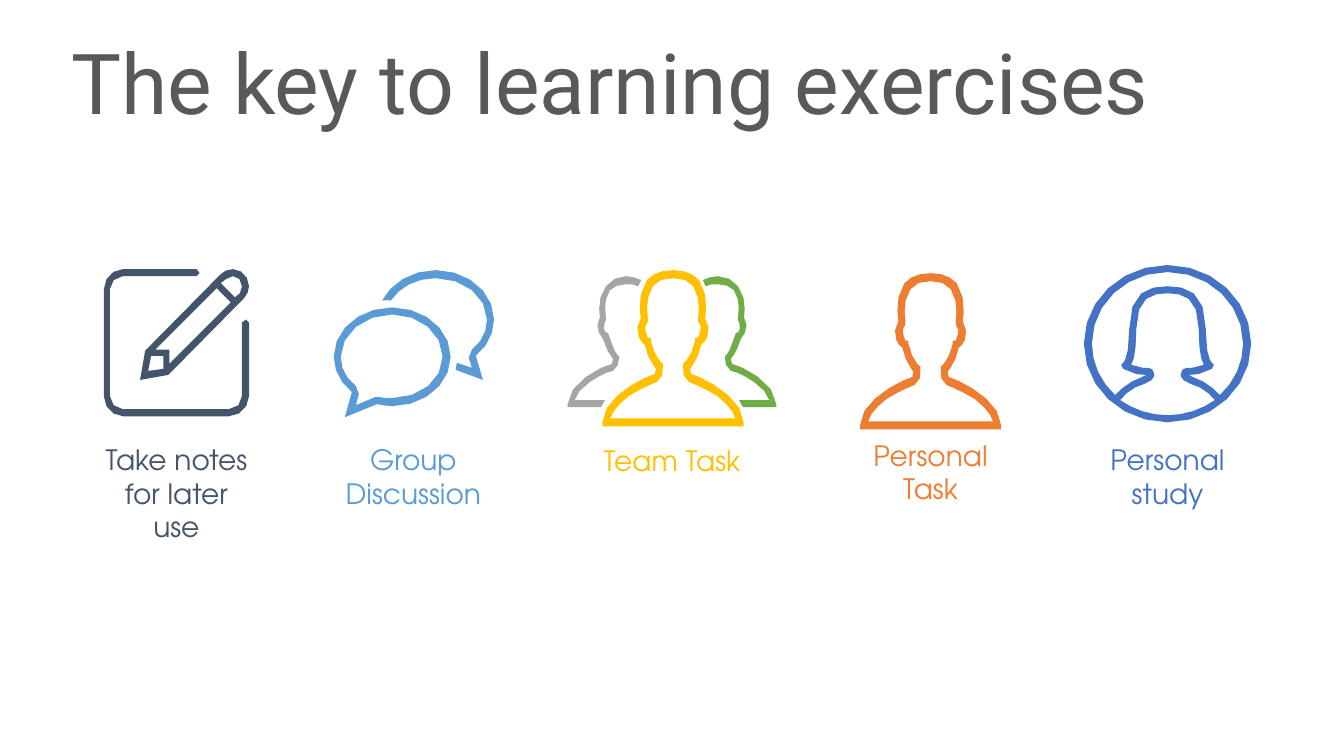
from dataclasses import dataclass
from enum import Enum
from math import dist, sqrt

from pptx import Presentation
from pptx.dml.color import RGBColor
from pptx.enum.text import MSO_ANCHOR, MSO_AUTO_SIZE, PP_ALIGN
from pptx.shapes.autoshape import Shape
from pptx.util import Inches, Pt

# Grid: square cells, 1333 columns by 750 rows
COLUMNS, ROWS = 1333, 750
CELL = Inches(13.33) // COLUMNS
LABEL_FONT = "TeX Gyre Adventor"
TITLE_FONT = "Roboto"

COLOURS = {
    "title": "595959",
    "notes": "44546A",
    "discussion": "5B9BD5",
    "team": "FFC000",
    "left teammate": "A5A5A5",
    "right teammate": "70AD47",
    "task": "ED7D31",
    "study": "4472C4",
}

Point = tuple[float, float]


class Symmetry(Enum):
    PLAIN = "drawn as given"
    FLIPPED = "reflected left to right"
    HALVED = "left half given, right half reflected"


@dataclass(frozen=True)
class Outline:
    colour: str
    contours: tuple[str, ...]
    column: float = 0
    row: float = 0
    symmetry: Symmetry = Symmetry.PLAIN


@dataclass(frozen=True)
class Exercise:
    label: str
    colour: str
    centre: float
    outlines: tuple[Outline, ...]
    row: float = 434
    width: float = 166
    height: float = 77


# Contours in grid cells: M starts, L adds a line, C adds a Bezier curve
NOTEPAD = (
    "M 244,317 C 242,317 240,318 240,320 L 240,393 C 240,400 235,406 227,406 L 122,406 "
    "C 115,406 109,400 109,393 L 109,287 C 109,280 115,274 122,274 L 195,274 "
    "C 196,274 198,272 198,271 C 198,269 196,267 195,267 L 122,267 C 112,267 103,276 103,287 "
    "L 103,393 C 103,404 112,413 122,413 L 227,413 C 238,413 247,404 247,393 L 247,320 "
    "C 247,318 246,317 244,317",
    "M 150,353 L 162,353 L 162,366 L 147,368",
    "M 215,286 L 229,300 L 168,361 L 168,347 L 154,347",
    "M 224,277 C 225,275 228,274 231,274 C 236,274 240,278 240,284 C 240,287 239,289 238,291 "
    "L 233,295 L 219,281",
    "M 139,377 L 167,372 L 242,296 C 245,293 247,288 247,284 C 247,275 240,267 231,267 "
    "C 226,267 222,269 219,272 L 144,348",
)
SPEECH_BUBBLES = (
    "M 389,395 C 385,395 380,395 376,394 L 372,394 "
    "L 353,402 L 356,391 C 356,388 355,385 353,383 C 343,376 338,365 338,354 "
    "C 338,331 361,312 389,312 C 417,312 439,331 439,354 C 439,377 417,395 389,395",
    "M 389,305 C 357,305 331,327 331,354 C 331,368 338,380 349,389 L 342,414 L 374,401 "
    "C 379,402 384,403 389,403 C 421,403 447,381 447,354 C 447,327 421,305 389,305",
    "M 490,317 C 490,290 464,268 432,268 C 408,268 388,281 379,298 L 388,298 "
    "C 396,285 413,276 432,276 C 460,276 483,294 483,317 C 483,329 478,339 468,347 "
    "C 466,349 465,352 465,355 L 468,365 L 453,360 L 452,367 L 479,377 "
    "L 472,353 C 483,344 490,331 490,317",
)
PERSON = (
    "M 0,155 L -70,155 L -70,151 C -70,126 -29,106 -18,103 C -17,102 -17,100 -17,98 "
    "C -19,95 -26,86 -28,74 C -31,73 -32,70 -34,66 C -36,61 -36,53 -32,48 "
    "C -33,41 -35,23 -26,10 C -20,3 -11,0 0,0",
    "M 0,147 L -62,147 C -60,140 -54,133 -44,125 C -33,118 -21,113 -16,111 "
    "C -10,110 -10,100 -10,96 L -10,93 C -11,93 -20,83 -22,70 L -22,67 L -25,67 "
    "C -26,67 -27,65 -27,61 C -28,58 -28,54 -26,53 L -25,51 L -25,47 "
    "C -26,41 -27,26 -20,16 C -16,10 -9,8 0,8",
)
TEAMMATE = (
    "M -67,123 L -97,123 C -96,117 -90,111 -82,105 C -73,99 -63,94 -59,94 "
    "C -54,93 -53,84 -53,81 L -53,79 L -54,79 C -54,79 -61,70 -63,59 L -64,56 L -66,56 "
    "L -68,52 C -69,49 -68,46 -67,45 L -66,44 L -66,40 "
    "C -67,35 -68,22 -62,14 C -58,10 -53,8 -46,8 C -41,8 -37,8 -34,10 "
    "L -31,4 C -35,2 -40,0 -46,0 C -54,0 -62,4 -66,10 "
    "C -74,20 -73,35 -72,41 C -75,45 -75,51 -73,56 C -73,59 -71,61 -69,62 "
    "C -67,72 -61,79 -59,82 L -60,87 C -70,89 -104,106 -104,127 "
    "L -104,130 L -71,130 L -67,123",
)
WOMAN_IN_CIRCLE = (
    "M 0,21 C -19,21 -38,26 -38,64 C -38,91 -43,96 -44,97 C -45,97 -46,98 -46,99 "
    "C -47,101 -46,102 -44,103 C -34,109 -26,109 -21,109 L -25,111 "
    "C -35,114 -46,122 -52,129 C -66,116 -75,98 -75,78 C -75,39 -42,7 0,7",
    "M 0,149 C -18,149 -34,143 -47,134 C -42,127 -32,120 -23,118 C -17,116 -14,113 -13,110 "
    "C -12,106 -16,103 -16,103 L -20,102 C -20,102 -26,103 -36,99 "
    "C -33,94 -31,84 -31,64 C -31,31 -15,28 0,28",
    "M 0,0 C -46,0 -83,35 -83,78 C -83,121 -46,156 0,156",
)

EXERCISES = (
    Exercise("Take notes for later use", "notes", 175, (Outline("notes", NOTEPAD),), height=111),
    Exercise("Group Discussion", "discussion", 410, (Outline("discussion", SPEECH_BUBBLES),)),
    Exercise("Team Task", "team", 666.5, (
        Outline("team", PERSON, 667.5, 268, Symmetry.HALVED),
        Outline("right teammate", TEAMMATE, 666, 274, Symmetry.FLIPPED),
        Outline("left teammate", TEAMMATE, 667, 274),
    ), row=435, width=207, height=44),
    Exercise("Personal Task", "task", 923,
             (Outline("task", PERSON, 923, 271, Symmetry.HALVED),), row=430),
    Exercise("Personal study", "study", 1158,
             (Outline("study", WOMAN_IN_CIRCLE, 1158, 263, Symmetry.HALVED),)),
)


def colour_of(name: str) -> RGBColor:
    return RGBColor.from_string(COLOURS[name])


def split_curve(corners: list[Point]) -> list[Point]:
    """Follow a Bezier curve with lines, more of them the longer it is."""
    length = sum(dist(a, b) for a, b in zip(corners, corners[1:]))
    steps = max(1, round(sqrt(length) / 2))
    points: list[Point] = []
    for step in range(1, steps + 1):
        t = step / steps
        weights = ((1 - t) ** 3, 3 * t * (1 - t) ** 2, 3 * t * t * (1 - t), t ** 3)
        points.append((sum(w * c[0] for w, c in zip(weights, corners)),
                       sum(w * c[1] for w, c in zip(weights, corners))))
    return points


def trace(contour: str) -> list[Point]:
    points: list[Point] = []
    controls: list[Point] = []
    command = "M"
    for token in contour.split():
        if token in "MLC":
            command = token
            continue
        x, y = token.split(",")
        controls.append((float(x), float(y)))
        if command != "C":
            points.append(controls.pop())
        elif len(controls) == 3:
            points += split_curve([points[-1], *controls])
            controls = []
    return points


def place(outline: Outline, contour: str) -> list[Point]:
    points = trace(contour)
    reflected = [(-x, y) for x, y in points]
    if outline.symmetry is Symmetry.FLIPPED:
        points = reflected
    elif outline.symmetry is Symmetry.HALVED:
        points += reflected[::-1]
    return [((outline.column + x) * CELL, (outline.row + y) * CELL) for x, y in points]


def draw_outline(shapes, outline: Outline) -> None:
    first, *others = [place(outline, contour) for contour in outline.contours]
    builder = shapes.build_freeform(*first[0], scale=1.0)
    builder.add_line_segments(first[1:], close=True)
    for points in others:
        builder.move_to(*points[0])
        builder.add_line_segments(points[1:], close=True)
    shape = builder.convert_to_shape()
    shape.shadow.inherit = False
    shape.fill.solid()
    shape.fill.fore_color.rgb = colour_of(outline.colour)
    shape.line.fill.background()


def add_text(shapes, text: str, column: float, row: float, width: float, height: float,
             font_name: str, size: int, colour: str) -> Shape:
    box = shapes.add_textbox(*(round(cells * CELL) for cells in (column, row, width, height)))
    box.text_frame.word_wrap = True
    paragraph = box.text_frame.paragraphs[0]
    paragraph.text = text
    paragraph.font.name = font_name
    paragraph.font.size = Pt(size)
    paragraph.font.color.rgb = colour_of(colour)
    return box


def main() -> None:
    presentation = Presentation()
    presentation.slide_width, presentation.slide_height = COLUMNS * CELL, ROWS * CELL
    slide = presentation.slides.add_slide(presentation.slide_layouts[6])

    # Title
    title = add_text(slide.shapes, "The key to learning exercises", 61, 40, 1150, 93,
                     TITLE_FONT, 60, "title")
    title.text_frame.vertical_anchor = MSO_ANCHOR.MIDDLE
    title.text_frame.paragraphs[0].line_spacing = 0.9

    # Icons with their labels, one group for each exercise
    for exercise in EXERCISES:
        group = slide.shapes.add_group_shape()
        for outline in exercise.outlines:
            draw_outline(group.shapes, outline)
        label = add_text(group.shapes, exercise.label, exercise.centre - exercise.width / 2,
                         exercise.row, exercise.width, exercise.height,
                         LABEL_FONT, 20, exercise.colour)
        label.text_frame.auto_size = MSO_AUTO_SIZE.SHAPE_TO_FIT_TEXT
        label.text_frame.paragraphs[0].alignment = PP_ALIGN.CENTER

    presentation.save("out.pptx")


if __name__ == "__main__":
    main()
